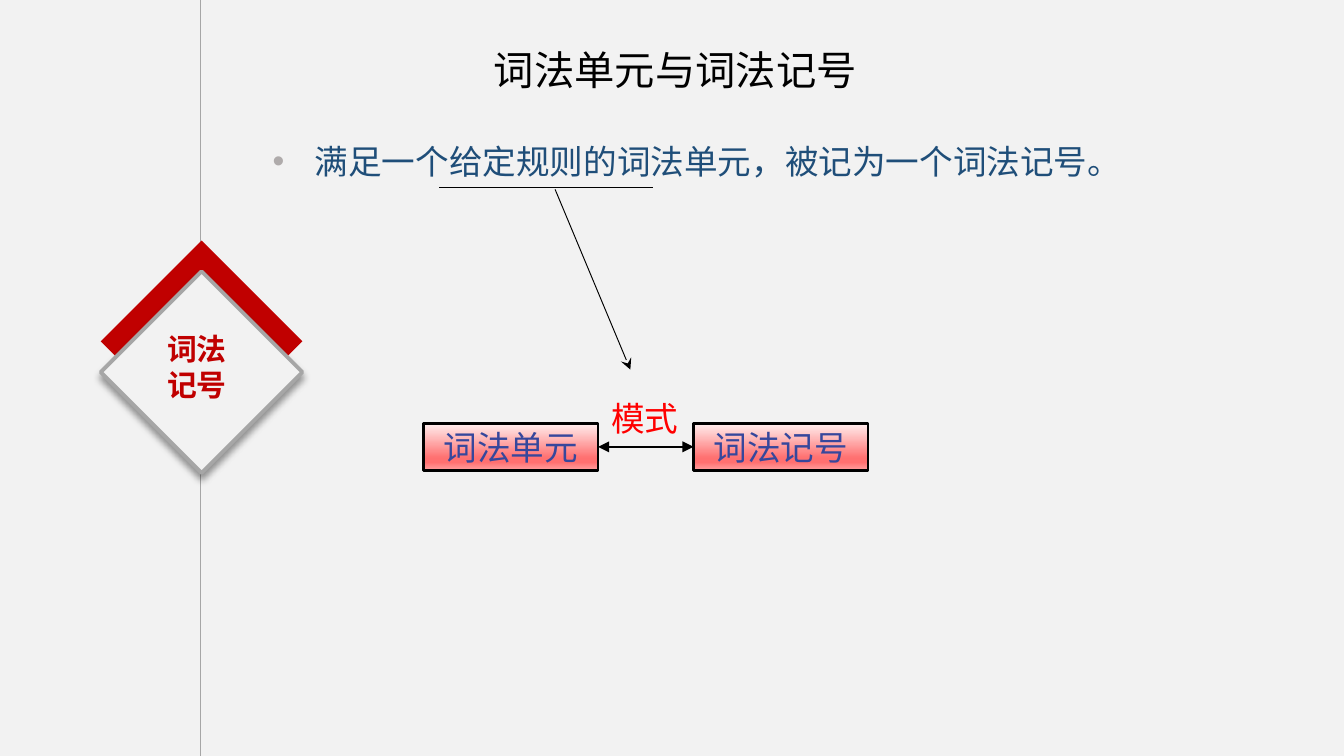
from lxml.etree import SubElement
from pptx import Presentation
from pptx.dml.color import RGBColor
from pptx.enum.shapes import MSO_CONNECTOR as LINK, MSO_SHAPE as SHAPE
from pptx.enum.text import MSO_ANCHOR as ANCHOR, PP_ALIGN as ALIGN
from pptx.oxml.ns import qn
from pptx.util import Pt

CJK = "Noto Sans CJK SC"
TOKEN_GRADIENT = [(0, "FFEFEF"), (74, "FF7070"), (83, "FF7070"), (100, "FFA0A0")]


def color(value):
    return RGBColor.from_string(value)


def add_node(parent, tag, **attributes):
    return SubElement(parent, qn(tag), {k: str(v) for k, v in attributes.items()})


def add_bullet(paragraph, bullet_color, indent):
    props = paragraph._p.get_or_add_pPr()
    props.set("marL", str(Pt(indent)))
    props.set("indent", str(-Pt(indent)))
    add_node(add_node(props, "a:buClr"), "a:srgbClr", val=bullet_color)
    add_node(props, "a:buFont", typeface="Arial")
    add_node(props, "a:buChar", char="•")


def write(shape, lines, size, ink, font=CJK, bold=False, align=ALIGN.CENTER,
          anchor=ANCHOR.TOP, wrap=False, insets=(7.2, 3.6, 7.2, 3.6),
          spacing=None, bullet=None):
    frame = shape.text_frame
    left, top, right, bottom = map(Pt, insets)
    layout = {"word_wrap": wrap, "vertical_anchor": anchor, "margin_left": left,
              "margin_top": top, "margin_right": right, "margin_bottom": bottom}
    for name, value in layout.items():
        setattr(frame, name, value)
    frame.text = "\n".join(lines)
    for paragraph in frame.paragraphs:
        paragraph.alignment = align
        if spacing:
            paragraph.line_spacing = Pt(spacing)
        if bullet:
            add_bullet(paragraph, *bullet)
        for run in paragraph.runs:
            for name, value in {"size": Pt(size), "name": font, "bold": bold}.items():
                setattr(run.font, name, value)
            run.font.color.rgb = color(ink)
            add_node(run._r.get_or_add_rPr(), "a:ea", typeface=CJK)


def add_label(slide, box, lines, size, ink, **style):
    write(slide.shapes.add_textbox(*map(Pt, box)), lines, size, ink, **style)


def add_token_box(slide, left, name):
    token = slide.shapes.add_shape(SHAPE.RECTANGLE, *map(Pt, (left, 226.8, 93.6, 25.2)))
    token.shadow.inherit = False
    token.fill.gradient()
    token.fill.gradient_angle = 270
    stops = token._element.spPr.find(qn("a:gradFill")).find(qn("a:gsLst"))
    stops.clear()
    for position, stop_color in TOKEN_GRADIENT:
        stop = add_node(stops, "a:gs", pos=position * 1000)
        add_node(stop, "a:srgbClr", val=stop_color)
    token.line.color.rgb = color("000000")
    token.line.width = Pt(1.5)
    write(token, [name], 18, "36479C", anchor=ANCHOR.MIDDLE)
    return token


def add_diamond(slide, top, fill, outline=None):
    diamond = slide.shapes.add_shape(SHAPE.FLOWCHART_DECISION, *map(Pt, (54, top, 108, 108)))
    diamond.shadow.inherit = False
    diamond.fill.solid()
    diamond.fill.fore_color.rgb = color(fill)
    if outline:
        diamond.line.color.rgb = color(outline)
        diamond.line.width = Pt(2)
    else:
        diamond.line.fill.background()
    return diamond


def add_drop_shadow(shape):
    effects = shape._element.spPr.find(qn("a:effectLst"))
    shadow = add_node(effects, "a:outerShdw", blurRad=Pt(4), dist=Pt(3),
                      dir=90 * 60000, algn="t", rotWithShape=0)
    add_node(add_node(shadow, "a:srgbClr", val="000000"), "a:alpha", val=40000)


def add_line(slide, start, end, width, ink="000000", head=None, tail=None):
    line = slide.shapes.add_connector(LINK.STRAIGHT, *map(Pt, start + end))
    line.line.color.rgb = color(ink)
    line.line.width = Pt(width)
    for tag, arrow in (("a:headEnd", head), ("a:tailEnd", tail)):
        if arrow:
            add_node(line.line._get_or_add_ln(), tag, type=arrow)
    add_node(line._element.spPr, "a:effectLst")
    return line


def main():
    deck = Presentation()
    deck.slide_width, deck.slide_height = Pt(720), Pt(405)
    slide = deck.slides.add_slide(deck.slide_layouts[6])
    slide.background.fill.solid()
    slide.background.fill.fore_color.rgb = color("F2F2F2")

    add_label(slide, (28.8, 20.9, 666, 33.1), ["词法单元与词法记号"], 21.6, "000000",
              anchor=ANCHOR.MIDDLE, wrap=True)
    add_label(slide, (139, 72, 465, 28.8), ["满足一个给定规则的词法单元，被记为一个词法记号。"],
              18, "1F4E79", font="Calibri", align=ALIGN.LEFT, wrap=True,
              insets=(7.2, 3.6, 0, 3.6), spacing=21.6, bullet=("AFABAB", 22.5))

    lexeme = add_token_box(slide, 226.8, "词法单元")
    token = add_token_box(slide, 371.5, "词法记号")
    mapping = add_line(slide, (320.4, 239.4), (371.5, 239.4), 1,
                       head="triangle", tail="triangle")
    mapping.begin_connect(lexeme, 3)
    mapping.end_connect(token, 1)
    add_label(slide, (320.4, 209.5, 51.1, 28.8), ["模式"], 18, "FF0000",
              align=ALIGN.LEFT, spacing=21.6)

    add_line(slide, (235.4, 100.5), (349.9, 100.5), 0.5)
    add_line(slide, (297.4, 101.5), (337.7, 198), 0.5, tail="stealth")

    add_line(slide, (107.5, 0), (107.5, 405), 0.75, ink="A6A6A6")
    add_diamond(slide, 128.9, "C00000")
    add_drop_shadow(add_diamond(slide, 145.4, "F2F2F2", outline="A6A6A6"))
    add_label(slide, (84.2, 174.2, 42.5, 43.9), ["词法", "记号"], 16, "C00000", bold=True,
              insets=(5, 2.9, 5, 2.9), spacing=19.2)

    deck.save("out.pptx")


if __name__ == "__main__":
    main()
